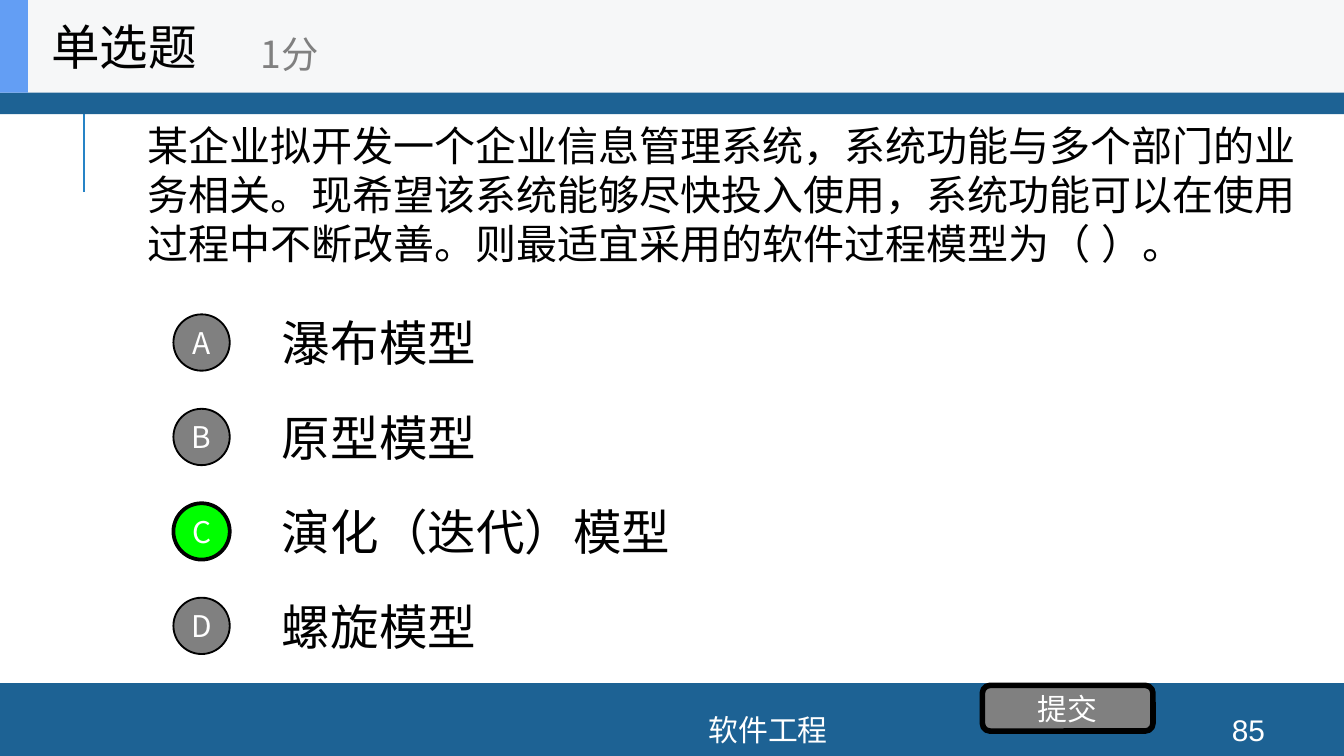
"""Build a single-choice quiz slide with four options and a submit button."""
from dataclasses import dataclass

from lxml.etree import SubElement
from pptx import Presentation
from pptx.dml.color import RGBColor
from pptx.enum.lang import MSO_LANGUAGE_ID
from pptx.enum.shapes import MSO_CONNECTOR, MSO_SHAPE
from pptx.enum.text import MSO_ANCHOR, MSO_AUTO_SIZE, PP_ALIGN
from pptx.oxml.ns import qn
from pptx.util import Pt

HEX = {
    "white": "FFFFFF", "black": "000000", "grey": "808080", "green": "00FF00",
    "navy": "1D6294", "line": "2683C6", "pale": "F6F7F8", "blue": "639EF4",
}
SANS = "Noto Sans CJK SC"


@dataclass
class Box:
    """A rectangle in points."""
    x: float
    y: float
    w: float
    h: float

    def spot(self) -> tuple:
        """Return left, top, width and height as lengths."""
        return Pt(self.x), Pt(self.y), Pt(self.w), Pt(self.h)


@dataclass
class Choice:
    """One answer with its letter and badge style."""
    mark: str
    text: str
    fill: str = "grey"
    edge: float = 1


CHOICES = [
    Choice("A", "瀑布模型"),
    Choice("B", "原型模型"),
    Choice("C", "演化（迭代）模型", "green", 2),
    Choice("D", "螺旋模型"),
]


def paint(name: str) -> RGBColor:
    """Return a named colour."""
    return RGBColor.from_string(HEX[name])


def write(shape, text: str, size=16, color="white", face=SANS,
          align=PP_ALIGN.CENTER, wrap=True, side=7.2, base=3.6, lead=None) -> None:
    """Fill a shape with one formatted paragraph."""
    frame = shape.text_frame
    frame.auto_size = MSO_AUTO_SIZE.NONE
    frame.word_wrap = wrap
    frame.vertical_anchor = MSO_ANCHOR.MIDDLE
    frame.margin_left = frame.margin_right = Pt(side)
    frame.margin_top, frame.margin_bottom = Pt(3.6), Pt(base)
    para = frame.paragraphs[0]
    para.alignment = align
    if lead:
        para.line_spacing = Pt(lead)
    run = para.add_run()
    run.text = text
    font = run.font
    font.size, font.name = Pt(size), face
    font.color.rgb = paint(color)
    font.language_id = MSO_LANGUAGE_ID.SIMPLIFIED_CHINESE
    SubElement(run._r.get_or_add_rPr(), qn("a:ea"), typeface=face)


def label(slide, box: Box, text: str, **style):
    """Add a text box."""
    item = slide.shapes.add_textbox(*box.spot())
    write(item, text, **style)
    return item


def block(slide, box: Box, fill: str, kind=MSO_SHAPE.RECTANGLE, edge=0.0):
    """Add a filled shape, outlined in black when edge is set."""
    item = slide.shapes.add_shape(kind, *box.spot())
    item.shadow.inherit = False
    item.fill.solid()
    item.fill.fore_color.rgb = paint(fill)
    if edge:
        item.line.color.rgb = paint("black")
        item.line.width = Pt(edge)
    else:
        item.line.fill.background()
    return item


def rule(slide, x: float, top: float, end: float) -> None:
    """Add the vertical accent line."""
    item = slide.shapes.add_connector(
        MSO_CONNECTOR.STRAIGHT, Pt(x), Pt(end), Pt(x), Pt(top))
    item.line.color.rgb = paint("line")
    item.line.width = Pt(1.5)
    SubElement(item.element.spPr, qn("a:effectLst"))


def answer(slide, choice: Choice, mid: float) -> None:
    """Add one answer centred on a height."""
    label(slide, Box(144, mid - 19, 504, 38), choice.text, size=26,
          color="black", face="Arial", align=PP_ALIGN.LEFT)
    badge = block(slide, Box(92.9, mid - 15.1, 30.2, 30.2), choice.fill,
                  MSO_SHAPE.OVAL, choice.edge)
    write(badge, choice.mark, side=0)


def header(slide) -> None:
    """Add the heading strip with title and score."""
    block(slide, Box(0, 0, 720, 49.7), "pale")
    block(slide, Box(0, 0, 15, 49.7), "blue")
    title = slide.shapes.title
    title.left, title.top, title.width, title.height = Box(20.2, 0, 150, 49.7).spot()
    write(title, "单选题", size=26, color="black", align=PP_ALIGN.LEFT, wrap=False)
    slide.shapes[-1].element.addnext(title.element)
    label(slide, Box(132.5, 8.6, 180, 40.3), "1分", size=20, color="grey",
          align=PP_ALIGN.LEFT, wrap=False)


def main() -> None:
    """Build and save the slide."""
    deck = Presentation()
    deck.slide_width, deck.slide_height = Pt(720), Pt(405)
    slide = deck.slides.add_slide(deck.slide_layouts[5])
    rule(slide, 45, 49, 103)
    block(slide, Box(0, 366, 720, 39), "navy")
    block(slide, Box(0, 0, 720, 61.2), "navy")
    label(slide, Box(188, 382.3, 447, 16.6), "软件工程", face="Arial")
    label(slide, Box(640, 382.3, 57.6, 16.6), "85", face="Arial")
    label(slide, Box(72, 49.7, 633, 132.5),
          "某企业拟开发一个企业信息管理系统，系统功能与多个部门的业务相关。"
          "现希望该系统能够尽快投入使用，系统功能可以在使用过程中不断改善。"
          "则最适宜采用的软件过程模型为（ ）。",
          size=22, color="black", face="Arial", align=PP_ALIGN.LEFT,
          base=27, lead=26.25)
    for row, choice in enumerate(CHOICES):
        answer(slide, choice, 183.5 + row * 50.6)
    send = block(slide, Box(526.3, 367.2, 91.4, 24.5), "grey",
                 MSO_SHAPE.ROUNDED_RECTANGLE, 3)
    write(send, "提交")
    header(slide)
    deck.save("out.pptx")


if __name__ == "__main__":
    main()
